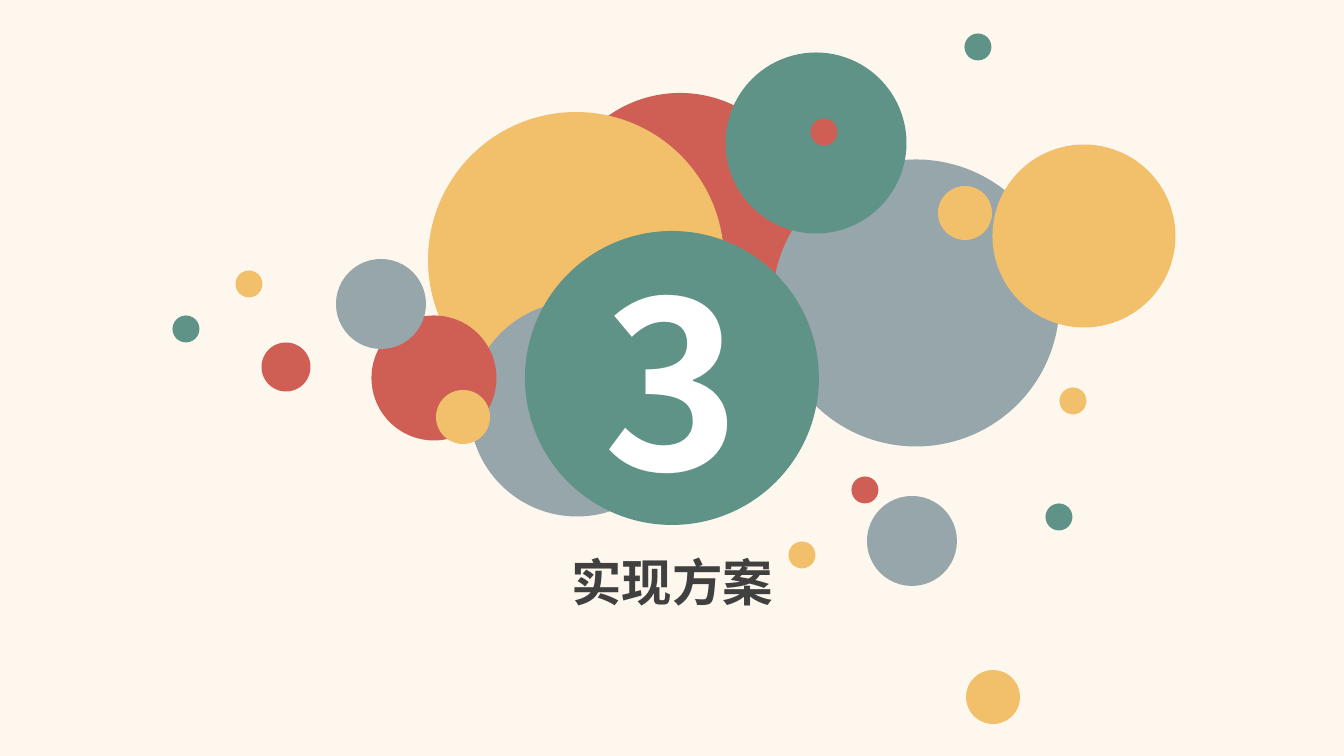
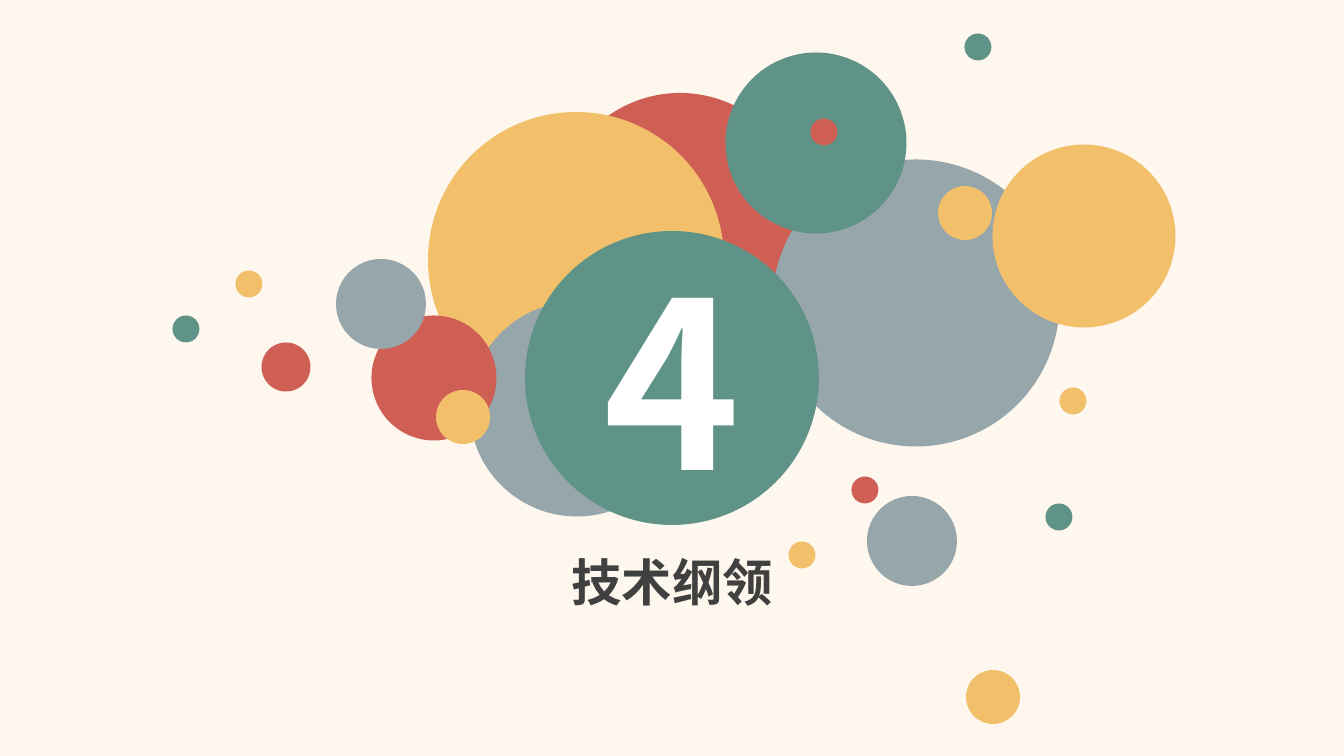
from pptx import Presentation
from pptx import util as u
from pptx.dml.color import RGBColor
from pptx.enum import shapes, text

WIDE, HIGH = 1344, 756
SCALE = 12192000 / WIDE
FONT = "Noto Sans CJK SC"
COLORS = {
    "paper": "FEF7ED", "red": "CF5F55", "gold": "F2C06B", "grey": "97A6AB",
    "green": "5F9387", "ink": "404040", "white": "FFFFFF",
}
STYLES = {
    "number": {"size": u.Pt(166), "bold": True, "name": FONT},
    "title": {"size": u.Pt(36), "bold": True, "name": FONT},
}
DOT, BEAD, BALL, HUB = 27, 54, 90, 294
# Centre offsets from the hub, diameter and colour, from back to front
BUBBLES = [
    (8, -161, 248, "red"),
    (-96, -118, 296, "gold"),
    (-95, 31, 215, "grey"),
    (244, -75, 287, "grey"),
    (144, -235, 181, "green"),
    (-238, 0, 125, "red"),
    (240, 163, BALL, "grey"),
    (193, 112, DOT, "red"),
    (130, 177, DOT, "gold"),
    (387, 139, DOT, "green"),
    (321, 319, BEAD, "gold"),
    (412, -142, 183, "gold"),
    (-291, -74, BALL, "grey"),
    (-386, -11, 49, "red"),
    (-423, -94, DOT, "gold"),
    (-486, -49, DOT, "green"),
    (-209, 39, BEAD, "gold"),
    (152, -246, DOT, "red"),
    (401, 23, DOT, "gold"),
    (306, -331, DOT, "green"),
    (293, -165, BEAD, "gold"),
]
SECTIONS = [("3", "实现方案"), ("4", "技术纲领")]


def px(*lens):
    return [u.Emu(round(n * SCALE)) for n in lens]


def color(name):
    return RGBColor.from_string(COLORS[name])


def write(shape, words, style, tint):
    frame = shape.text_frame
    frame.word_wrap = True
    par = frame.paragraphs[0]
    par.alignment = text.PP_ALIGN.CENTER
    run = par.add_run()
    run.text = words
    for key, value in STYLES[style].items():
        setattr(run.font, key, value)
    run.font.color.rgb = color(tint)
    props = run.font._element
    props.get_or_change_to_solidFill()
    east = props.makeelement(
        "{http://schemas.openxmlformats.org/drawingml/2006/main}ea",
        {"typeface": FONT})
    props.find("{*}latin").addnext(east)
    return frame


def circle(slide, x, y, size, tint):
    """Draw a flat disc centred on x, y."""
    disc = slide.shapes.add_shape(
        shapes.MSO_SHAPE.OVAL, *px(x - size / 2, y - size / 2, size, size))
    disc.shadow.inherit = False
    disc.fill.solid()
    disc.fill.fore_color.rgb = color(tint)
    disc.line.fill.background()
    return disc


def cluster(slide, box, number):
    """Gather the bubbles round a numbered hub in the middle of the box."""
    left, top, wide, high = box
    x, y = left + wide / 2, top + high / 2
    for dx, dy, size, tint in BUBBLES:
        circle(slide, x + dx, y + dy, size, tint)
    hub = circle(slide, x, y, HUB, "green")
    frame = write(hub, number, "number", "white")
    frame.vertical_anchor = text.MSO_ANCHOR.MIDDLE


def heading(slide, box, words):
    write(slide.shapes.add_textbox(*px(*box)), words, "title", "ink")


def section(deck, number, words):
    slide = deck.slides.add_slide(deck.slide_layouts[6])
    fill = slide.background.fill
    fill.solid()
    fill.fore_color.rgb = color("paper")
    cluster(slide, (0, 0, WIDE, HIGH), number)
    heading(slide, (368, 546, 608, 72), words)


def main():
    deck = Presentation()
    deck.slide_width, deck.slide_height = px(WIDE, HIGH)
    for number, words in SECTIONS:
        section(deck, number, words)
    deck.save("out.pptx")


if __name__ == "__main__":
    main()
